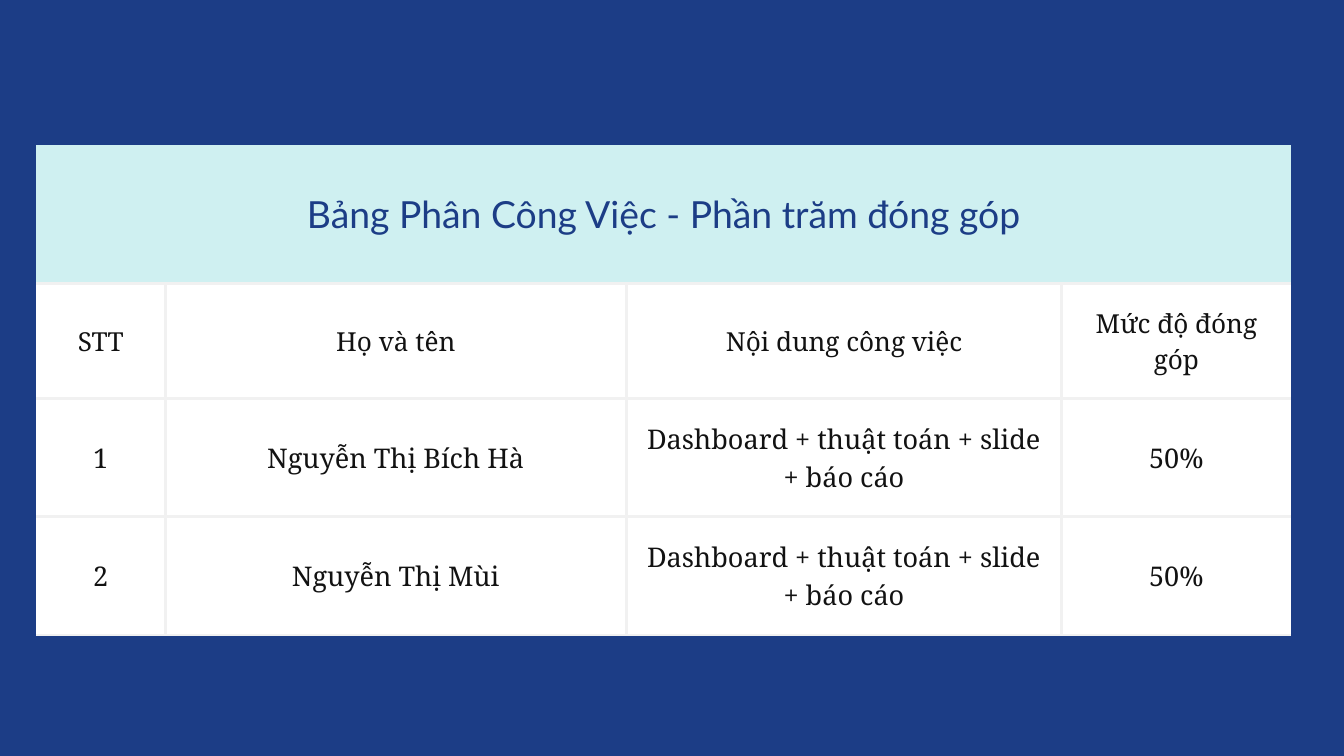
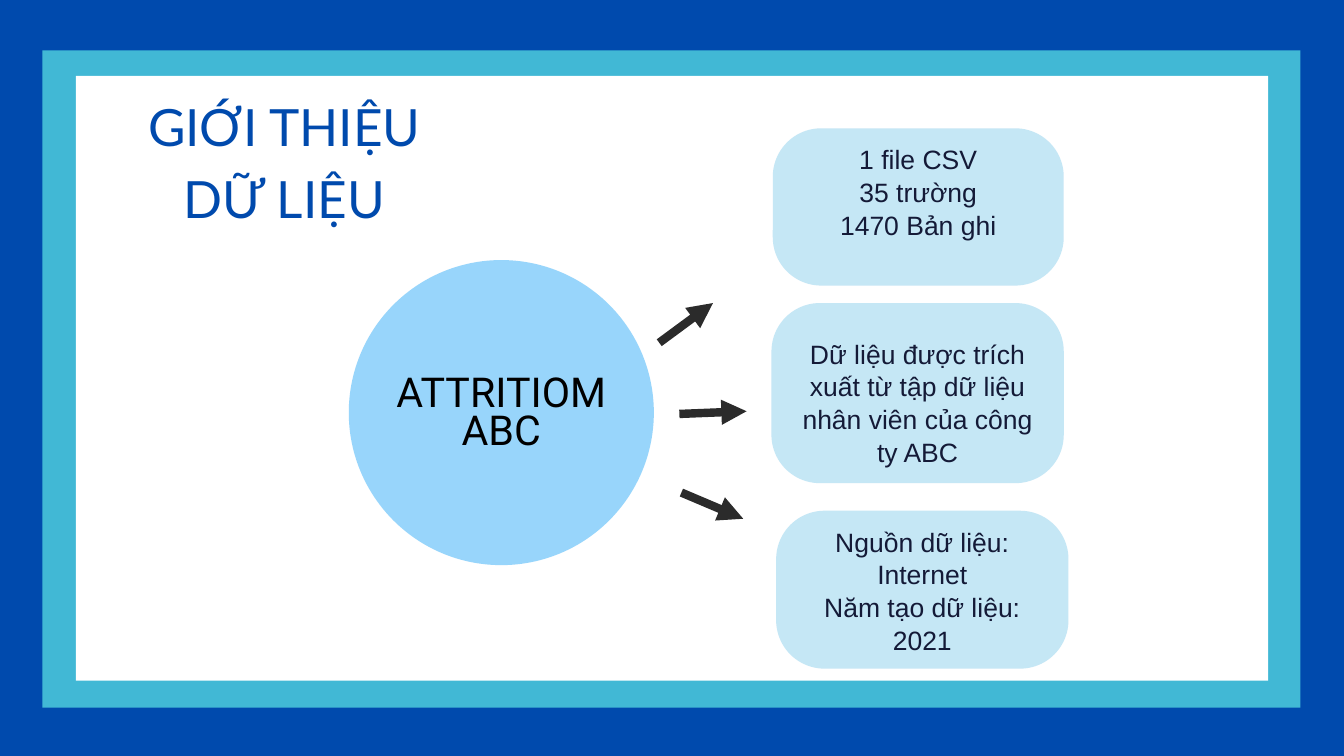
from lxml.etree import SubElement
from pptx import Presentation
from pptx.dml.color import RGBColor
from pptx.enum.shapes import MSO_CONNECTOR, MSO_SHAPE
from pptx.enum.text import MSO_ANCHOR, MSO_AUTO_SIZE, PP_ALIGN
from pptx.oxml.ns import qn
from pptx.util import Inches, Pt

HUES = {
    "navy": "1C3D86", "blue": "004AAD", "teal": "41B8D5", "white": "FFFFFF",
    "mint": "CFF0F1", "grid": "F1F1F1", "ink": "121212", "disc": "7AC9FA",
    "card": "B4E0F3", "dark": "141A37", "arrow": "2B2B2B", "black": "000000",
}
RGB = {name: RGBColor.from_string(code) for name, code in HUES.items()}


def write(frame, text, font, size, hue, lead):
    """Fill a text frame with centred lines at a fixed line spacing."""
    frame.word_wrap = True
    for i, line in enumerate(text.split("\n")):
        par = frame.paragraphs[0] if i == 0 else frame.add_paragraph()
        par.text = line
        par.alignment = PP_ALIGN.CENTER
        par.line_spacing = Pt(lead)
        par.font.name = font
        par.font.size = Pt(size)
        par.font.color.rgb = RGB[hue]


def draw(slide, kind, left, top, width, height, hue, alpha=None):
    """Add a flat shape without outline or text margins."""
    shape = slide.shapes.add_shape(
        kind, Inches(left), Inches(top), Inches(width), Inches(height))
    shape.shadow.inherit = False
    shape.line.fill.background()
    shape.fill.solid()
    shape.fill.fore_color.rgb = RGB[hue]
    if alpha:
        color = shape.element.spPr.find(".//" + qn("a:srgbClr"))
        SubElement(color, qn("a:alpha"), val=str(alpha * 1000))
    frame = shape.text_frame
    frame.margin_left = frame.margin_right = 0
    frame.margin_top = frame.margin_bottom = 0
    return shape


deck = Presentation()
deck.slide_width = Inches(20)
deck.slide_height = Inches(11.25)
plain, titled = deck.slide_layouts[6], deck.slide_layouts[5]

# Slide 1: work table
slide = deck.slides.add_slide(plain)
slide.background.fill.solid()
slide.background.fill.fore_color.rgb = RGB["navy"]

rows = [
    ["Bảng Phân Công Việc - Phần trăm đóng góp", "", "", ""],
    ["STT", "Họ và tên", "Nội dung công việc", "Mức độ đóng góp"],
    ["1", "Nguyễn Thị Bích Hà", "Dashboard + thuật toán + slide + báo cáo", "50%"],
    ["2", "Nguyễn Thị Mùi", "Dashboard + thuật toán + slide + báo cáo", "50%"],
]
wide = [1.92, 6.86, 6.48, 3.41]
high = [2.06, 1.71, 1.76, 1.76]
styles = [
    dict(font="Lato", size=40, hue="navy", lead=48),
    dict(font="Noto Serif", size=28, hue="ink", lead=39.2),
    dict(font="Noto Serif", size=29, hue="ink", lead=40.6),
    dict(font="Noto Serif", size=29, hue="ink", lead=40.6),
]
table = slide.shapes.add_table(
    len(rows), len(wide), Inches(0.54), Inches(2.16),
    Inches(sum(wide)), Inches(sum(high))).table
table.first_row = table.horz_banding = False
for col, width in zip(table.columns, wide):
    col.width = Inches(width)
for row, height in zip(table.rows, high):
    row.height = Inches(height)
table.cell(0, 0).merge(table.cell(0, 3))

for r, row in enumerate(rows):
    for c, text in enumerate(row):
        cell = table.cell(r, c)
        cell.vertical_anchor = MSO_ANCHOR.MIDDLE
        cell.margin_left = cell.margin_right = Inches(0.2)
        cell.margin_top = cell.margin_bottom = Inches(0.2)
        # Grid lines inside and below, none on the outer sides and top
        shown = {"L": r > 0 and c > 0, "R": r > 0 and c < 3, "T": r > 0, "B": True}
        props = cell._tc.get_or_add_tcPr()
        for side, on in shown.items():
            edge = SubElement(props, qn("a:ln" + side), w=str(Pt(3.2) if on else 0))
            if on:
                fill = SubElement(edge, qn("a:solidFill"))
                SubElement(fill, qn("a:srgbClr"), val=HUES["grid"])
            else:
                SubElement(edge, qn("a:noFill"))
        cell.fill.solid()
        cell.fill.fore_color.rgb = RGB["white" if r else "mint"]
        if text:
            write(cell.text_frame, text, **styles[r])

# Slide 2: data overview
slide = deck.slides.add_slide(titled)
slide.background.fill.solid()
slide.background.fill.fore_color.rgb = RGB["blue"]

# Frame
draw(slide, MSO_SHAPE.RECTANGLE, 0.63, 0.75, 18.72, 9.78, "teal")
draw(slide, MSO_SHAPE.RECTANGLE, 1.13, 1.13, 17.74, 9, "white")

# Title, raised above the frame
title = slide.shapes.title
title.element.getparent().append(title.element)
title.left, title.top = Inches(1.65), Inches(1.27)
title.width, title.height = Inches(5.16), Inches(2.2)
frame = title.text_frame
frame.auto_size = MSO_AUTO_SIZE.NONE
frame.vertical_anchor = MSO_ANCHOR.TOP
frame.margin_left = frame.margin_right = 0
frame.margin_top = frame.margin_bottom = 0
write(frame, "GIỚI THIỆU DỮ LIỆU", font="Lato", size=55, hue="blue", lead=77)

# Data set disc
disc = draw(slide, MSO_SHAPE.OVAL, 5.19, 3.87, 4.54, 4.54, "disc", alpha=77)
disc.text_frame.vertical_anchor = MSO_ANCHOR.MIDDLE
disc.text_frame.margin_top = Inches(0.1)
write(disc.text_frame, "ATTRITIOM ABC", font="Roboto", size=44.1, hue="black", lead=41)

# Arrows from disc to cards
for x1, y1, x2, y2 in [(9.81, 5.1, 10.61, 4.51),
                       (10.11, 6.16, 11.11, 6.12),
                       (10.14, 7.33, 11.06, 7.72)]:
    arrow = slide.shapes.add_connector(
        MSO_CONNECTOR.STRAIGHT, Inches(x1), Inches(y1), Inches(x2), Inches(y2))
    arrow.line.color.rgb = RGB["arrow"]
    arrow.line.width = Pt(9)
    SubElement(arrow.line._get_or_add_ln(), qn("a:tailEnd"), type="triangle")
    SubElement(arrow.element.spPr, qn("a:effectLst"))

# Fact cards: left, top, width, height, top margin, text
cards = [
    (11.5, 1.91, 4.33, 2.34, 0, "1 file CSV\n35 trường\n1470 Bản ghi"),
    (11.48, 4.51, 4.35, 2.68, 0.29,
     "Dữ liệu được trích xuất từ tập dữ liệu nhân viên của công ty ABC"),
    (11.55, 7.6, 4.35, 2.35, 0,
     "Nguồn dữ liệu: Internet\nNăm tạo dữ liệu:\n2021"),
]
for left, top, width, height, gap, text in cards:
    card = draw(slide, MSO_SHAPE.ROUNDED_RECTANGLE, left, top, width, height,
                "card", alpha=77)
    card.adjustments[0] = 0.72 / height
    frame = card.text_frame
    frame.vertical_anchor = MSO_ANCHOR.TOP
    frame.margin_left = frame.margin_right = Inches(0.23)
    frame.margin_top = Inches(gap)
    write(frame, text, font="Arial", size=28.4, hue="dark", lead=35)

deck.save("out.pptx")
